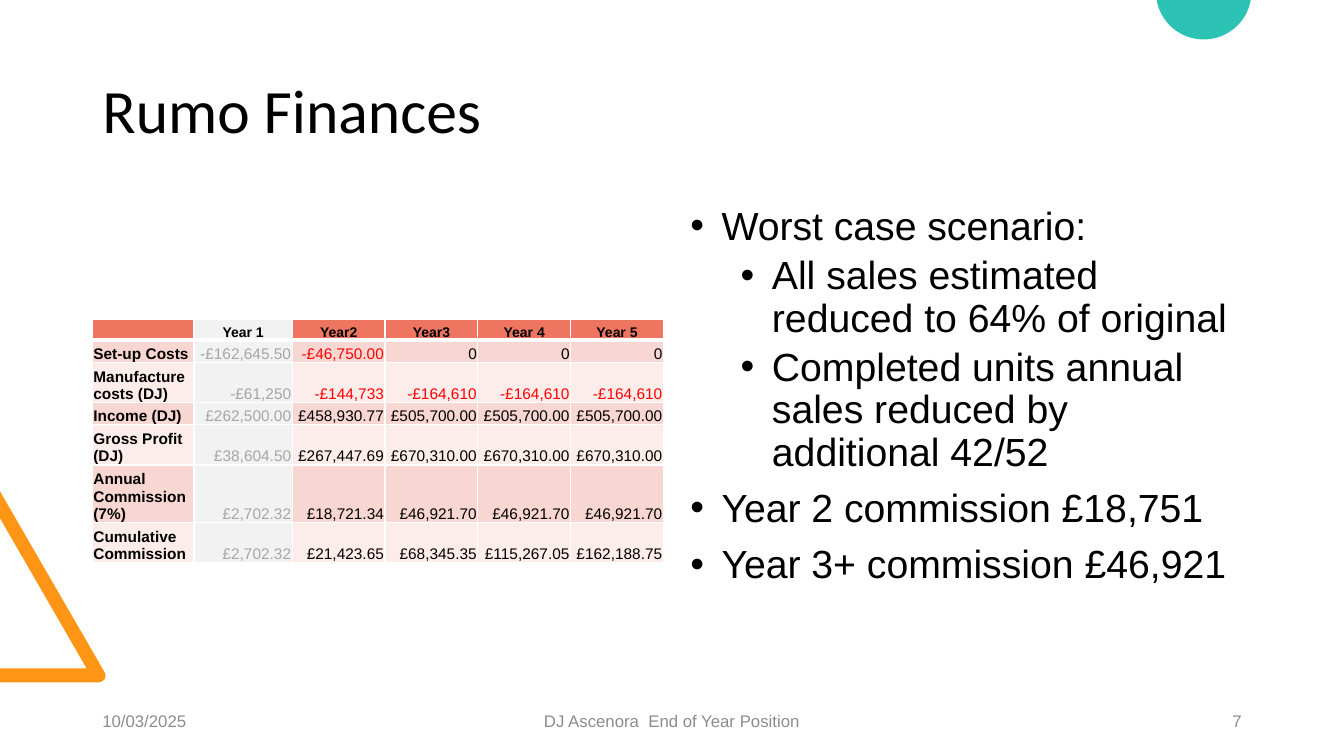
from math import asin, cos, sin

from lxml.etree import SubElement
from pptx import Presentation
from pptx.dml.color import RGBColor
from pptx.enum.text import MSO_ANCHOR, MSO_AUTO_SIZE, PP_ALIGN
from pptx.oxml.ns import qn
from pptx.util import Inches, Pt

BLACK = RGBColor(0x00, 0x00, 0x00)
WHITE = RGBColor(0xFF, 0xFF, 0xFF)
RED = RGBColor(0xFF, 0x00, 0x00)
MUTED = RGBColor(0xA6, 0xA6, 0xA6)
FOOTER_GREY = RGBColor(0x8C, 0x8C, 0x8C)
ORANGE = RGBColor(0xFF, 0x95, 0x14)
TEAL = RGBColor(0x2C, 0xC3, 0xB4)
HEADER_CORAL = RGBColor(0xEE, 0x76, 0x61)
ROW_TINTS = (RGBColor(0xF8, 0xD6, 0xD2), RGBColor(0xFC, 0xEC, 0xEA))
YEAR_1_FILL = RGBColor(0xF2, 0xF2, 0xF2)

# The slide is a grid of 160 columns by 90 rows
UNIT = Inches(13.3333) / 160
MARGIN, CONTENT_WIDTH, HALF_WIDTH = 11, 138, 68

FINANCES = [
    ["", "Year 1", "Year2", "Year3", "Year 4", "Year 5"],
    ["Set-up Costs", "-£162,645.50", "-£46,750.00", "0", "0", "0"],
    ["Manufacture costs (DJ)", "-£61,250", "-£144,733"] + ["-£164,610"] * 3,
    ["Income (DJ)", "£262,500.00", "£458,930.77"] + ["£505,700.00"] * 3,
    ["Gross Profit (DJ)", "£38,604.50", "£267,447.69"] + ["£670,310.00"] * 3,
    ["Annual Commission (7%)", "£2,702.32", "£18,721.34"] + ["£46,921.70"] * 3,
    ["Cumulative Commission", "£2,702.32", "£21,423.65", "£68,345.35",
     "£115,267.05", "£162,188.75"],
]
COLUMN_WIDTHS = [12.1, 11.7] + [11.05] * 4
ROW_HEIGHTS = [2.5, 2.64, 4.8, 2.64, 4.8, 6.84, 4.8]

SCENARIO = [
    (0, "Worst case scenario:"),
    (1, "All sales estimated reduced to 64% of original"),
    (1, "Completed units annual sales reduced by additional 42/52"),
    (0, "Year 2 commission £18,751"),
    (0, "Year 3+ commission £46,921"),
]


def grid(*values):
    return [round(value * UNIT) for value in values]


class SlideBuilder:
    def __init__(self, deck):
        self.page = deck.slides.add_slide(deck.slide_layouts[5])

    def format_text(self, paragraph, size, color, font="Arial", bold=False,
                    align=PP_ALIGN.LEFT):
        paragraph.alignment = align
        for span in paragraph.runs:
            span.font.name = font
            span.font.size = Pt(size)
            span.font.bold = bold
            span.font.color.rgb = color

    def title(self, text, area):
        box = self.page.shapes.title
        box.left, box.top, box.width, box.height = grid(*area)
        frame = box.text_frame
        frame.text = text
        frame.auto_size = MSO_AUTO_SIZE.NONE
        frame.vertical_anchor = MSO_ANCHOR.MIDDLE
        frame.paragraphs[0].line_spacing = 0.9
        self.format_text(frame.paragraphs[0], 44, BLACK, font="Calibri")

    def text_box(self, text, area, anchor=MSO_ANCHOR.TOP):
        frame = self.page.shapes.add_textbox(*grid(*area)).text_frame
        frame.word_wrap = True
        frame.vertical_anchor = anchor
        frame.text = text
        return frame

    def footer(self, text, area, align):
        frame = self.text_box(text, area, MSO_ANCHOR.MIDDLE)
        frame.paragraphs[0].space_after = Pt(6)
        self.format_text(frame.paragraphs[0], 12, FOOTER_GREY, align=align)

    def bullets(self, items, area):
        frame = self.text_box("\n".join(text for _, text in items), area)
        for paragraph, (level, _) in zip(frame.paragraphs, items):
            paragraph.level = level
            paragraph.line_spacing = 0.9
            paragraph.space_before = Pt(5 if level else 10)
            self.format_text(paragraph, 28, BLACK)
            properties = paragraph._p.get_or_add_pPr()
            properties.set("marL", str(Inches(0.31 + 0.5 * level)))
            properties.set("indent", str(Inches(-0.31)))
            SubElement(properties, qn("a:buFont")).set("typeface", "Arial")
            SubElement(properties, qn("a:buChar")).set("char", "•")

    def outline(self, points, color):
        corners = [grid(*point) for point in points]
        builder = self.page.shapes.build_freeform(*corners[0])
        builder.add_line_segments(corners[1:], close=True)
        shape = builder.convert_to_shape()
        shape.shadow.inherit = False
        shape.fill.solid()
        shape.fill.fore_color.rgb = color
        shape.line.fill.background()

    def borders(self, cell, widths):
        properties = cell._tc.get_or_add_tcPr()
        for side, width in widths.items():
            line = SubElement(properties, qn(f"a:ln{side}"), w=str(Pt(width)))
            fill = SubElement(line, qn("a:solidFill"))
            SubElement(fill, qn("a:srgbClr"), val=str(WHITE))

    def cell(self, cell, text, row, column):
        header = row == 0
        cell.margin_left = cell.margin_right = cell.margin_top = Inches(0.01)
        cell.margin_bottom = 0
        cell.vertical_anchor = MSO_ANCHOR.BOTTOM
        if header:
            self.borders(cell, {"L": 1, "R": 1, "T": 1, "B": 3})
        else:
            self.borders(cell, {"L": 1, "R": 1, "B": 1})
        cell.fill.solid()
        if column == 1:
            cell.fill.fore_color.rgb = YEAR_1_FILL
        else:
            cell.fill.fore_color.rgb = HEADER_CORAL if header else ROW_TINTS[(row - 1) % 2]

        paragraph = cell.text_frame.paragraphs[0]
        if not text:
            SubElement(paragraph._p, qn("a:endParaRPr"), sz="1000")
            return
        paragraph.text = text
        color = BLACK
        if column == 1 and not header:
            color = MUTED
        elif text.startswith("-"):
            color = RED
        align = PP_ALIGN.RIGHT if column else PP_ALIGN.LEFT
        self.format_text(paragraph, 10 if header else 11, color,
                         bold=header or column == 0,
                         align=PP_ALIGN.CENTER if header else align)

    def table(self, rows, widths, heights, left, top):
        area = grid(left, top, sum(widths), sum(heights))
        table = self.page.shapes.add_table(len(rows), len(widths), *area).table
        for column, width in zip(table.columns, grid(*widths)):
            column.width = width
        for row, height in zip(table.rows, grid(*heights)):
            row.height = height
        for row, texts in enumerate(rows):
            for column, text in enumerate(texts):
                self.cell(table.cell(row, column), text, row, column)


def dome(center, half_width, depth, steps=48):
    """Points of a circular segment hanging from the top edge."""
    radius = (half_width ** 2 + depth ** 2) / (2 * depth)
    sweep = 2 * (asin(1) - asin((radius - depth) / radius) / 2)
    if depth < radius:
        sweep = 2 * asin(half_width / radius)
    angles = [sweep * (step / steps - 0.5) for step in range(steps + 1)]
    return [(center + radius * sin(angle), depth - radius + radius * cos(angle))
            for angle in angles]


def main():
    deck = Presentation()
    deck.slide_width, deck.slide_height = grid(160, 90)
    slide = SlideBuilder(deck)

    # Decoration: triangle frame at the left edge, dome at the top
    slide.outline([(0, 81.24), (0, 79.56), (10.3, 79.56), (0, 61.7), (0, 58.5),
                   (12.46, 80.04), (12.57, 80.4), (12.5, 80.8), (12.2, 81.1),
                   (11.76, 81.24)], ORANGE)
    slide.outline(dome(143.3, 5.6, 4.7), TEAL)

    # Title and content
    slide.title("Rumo Finances", (MARGIN, 4.8, CONTENT_WIDTH, 17.4))
    slide.bullets(SCENARIO, (81, 24, HALF_WIDTH, 57.1))
    slide.table(FINANCES, COLUMN_WIDTHS, ROW_HEIGHTS, MARGIN, 38)

    # Footer
    slide.footer("10/03/2025", (MARGIN, 83.4, 36, 4.8), PP_ALIGN.LEFT)
    slide.footer("DJ Ascenora  End of Year Position", (53, 83.4, 54, 4.8), PP_ALIGN.CENTER)
    slide.footer("7", (113, 83.4, 36, 4.8), PP_ALIGN.RIGHT)

    deck.save("out.pptx")


if __name__ == "__main__":
    main()
